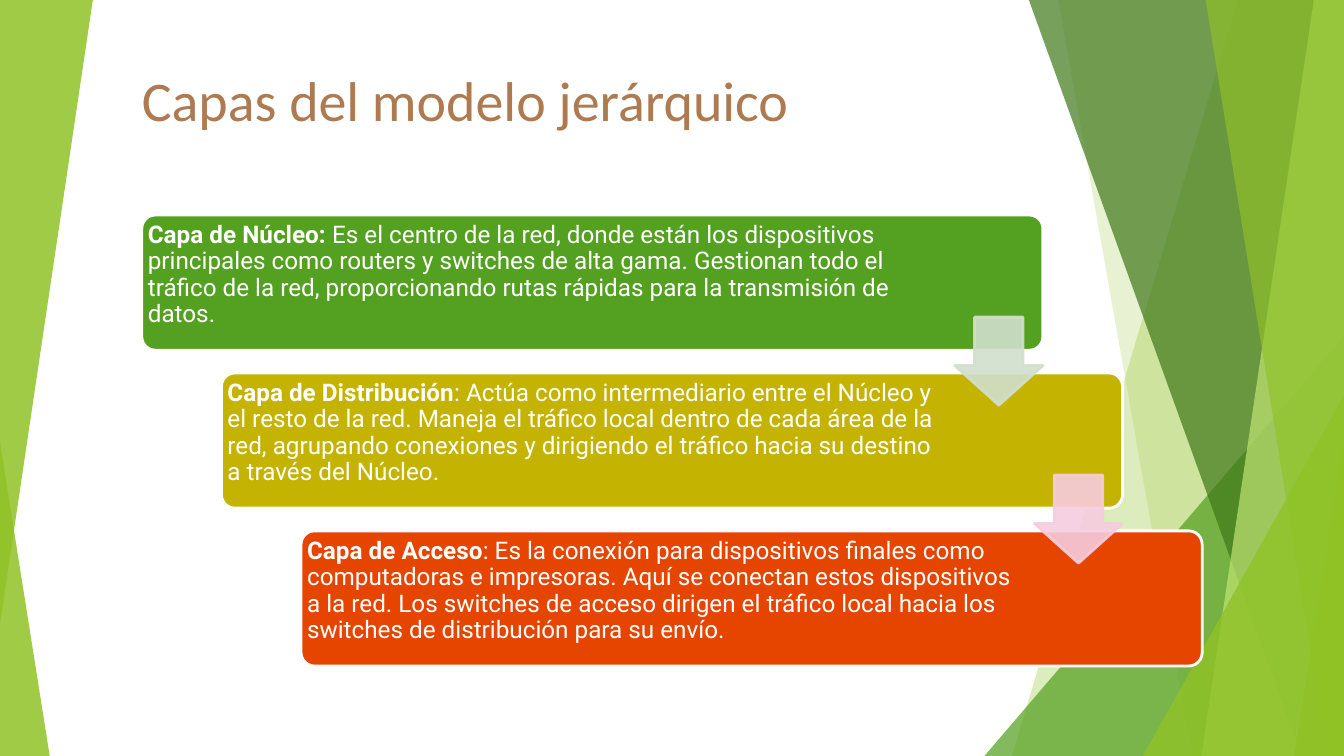
import pptx
import pptx.dml.color
import pptx.enum.shapes
import pptx.enum.text
import pptx.oxml
import pptx.oxml.ns
import pptx.util

Cm = pptx.util.Cm
Pt = pptx.util.Pt
RGBColor = pptx.dml.color.RGBColor
SHAPES = pptx.enum.shapes.MSO_SHAPE

WHITE = RGBColor(0xFF, 0xFF, 0xFF)
BROWN = RGBColor(0xAE, 0x7A, 0x51)
LIME = RGBColor(0x90, 0xC2, 0x26)
PALE_LIME = RGBColor(0xC0, 0xE4, 0x74)
GREEN = RGBColor(0x54, 0xA0, 0x21)
DARK_GREEN = RGBColor(0x3F, 0x78, 0x19)
MUSTARD = RGBColor(0xC4, 0xB3, 0x00)
ORANGE = RGBColor(0xE6, 0x45, 0x00)
PALE_GREEN = RGBColor(0xD1, 0xDF, 0xCC)
PINK = RGBColor(0xF5, 0xCC, 0xDE)

PAGE_WIDTH, PAGE_HEIGHT = 50.8, 28.58

LAYERS = [
    ("Capa de Núcleo:",
     " Es el centro de la red, donde están los dispositivos principales como routers y "
     "switches de alta gama. Gestionan todo el tráfico de la red, proporcionando rutas "
     "rápidas para la transmisión de datos.", GREEN, 5.31),
    ("Capa de Distribución",
     ": Actúa como intermediario entre el Núcleo y el resto de la red. Maneja el tráfico "
     "local dentro de cada área de la red, agrupando conexiones y dirigiendo el tráfico "
     "hacia su destino a través del Núcleo.", MUSTARD, 6.43),
    ("Capa de Acceso",
     ": Es la conexión para dispositivos finales como computadoras e impresoras. Aquí se "
     "conectan estos dispositivos a la red. Los switches de acceso dirigen el tráfico "
     "local hacia los switches de distribución para su envío.", ORANGE, 6.43),
]
ARROW_COLORS = [PALE_GREEN, PINK]


def add_span(para, text, *, font, size, color, bold=False):
    span = para.add_run()
    span.text = text
    span.font.name = font
    span.font.size = Pt(size)
    span.font.color.rgb = color
    span.font.bold = bold


def set_opacity(shape, percent):
    for color in shape._element.spPr.iter(pptx.oxml.ns.qn("a:srgbClr")):
        alpha = pptx.oxml.xmlchemy.OxmlElement("a:alpha")
        alpha.set("val", str(percent * 1000))
        color.append(alpha)


def set_frame(frame, left=0, top=0, right=0):
    frame.word_wrap = True
    frame.vertical_anchor = pptx.enum.text.MSO_ANCHOR.TOP
    frame.margin_left, frame.margin_top = Cm(left), Cm(top)
    frame.margin_right, frame.margin_bottom = Cm(right), 0


def add_facet(page, left, top, points, color, opacity):
    corners = [(Cm(left + x), Cm(top + y)) for x, y in points]
    builder = page.shapes.build_freeform(*corners[0])
    builder.add_line_segments(corners[1:], close=True)
    facet = builder.convert_to_shape()
    facet.shadow.inherit = False
    facet.fill.solid()
    facet.fill.fore_color.rgb = color
    facet.line.fill.background()
    set_opacity(facet, opacity)


def add_hairline(page, left, top, start, end):
    line = page.shapes.add_connector(
        pptx.enum.shapes.MSO_CONNECTOR.STRAIGHT,
        Cm(left + start[0]), Cm(top + start[1]), Cm(left + end[0]), Cm(top + end[1]))
    line.line.color.rgb = WHITE
    line.line.width = Pt(0.75)
    line._element.spPr.append(pptx.oxml.xmlchemy.OxmlElement("a:effectLst"))


def draw_right_facets(page, left, top, width, height):
    add_hairline(page, left, top, (8.1, 0), (13.23, height))
    add_hairline(page, left, top, (width, 15.32), (0, height))
    bottom_right = (width, height)
    facets = [
        ([(15.88, 0), (width, 0), bottom_right, (7.34, height)], LIME, 30),
        ([(9.09, 0), (width, 0), bottom_right, (14.15, height)], LIME, 20),
        ([(6.3, height), (width, 12.7), bottom_right], GREEN, 72),
        ([(7.98, 0), (width, 0), bottom_right, (18.29, height)], DARK_GREEN, 70),
        ([(18.75, 0), (width, 0), bottom_right, (14.5, height)], PALE_LIME, 70),
        ([(14.66, 0), (width, 0), bottom_right, (19.28, height)], LIME, 65),
        ([(12.29, height), (width, 14.96), bottom_right], LIME, 80),
        ([(18.01, height), (width, 16.71), bottom_right], LIME, 85),
    ]
    for points, color, opacity in facets:
        add_facet(page, left, top, points, color, opacity)


def draw_left_facets(page, left, top, width, height):
    add_facet(page, left, top, [(0, height), (0, 16.71), (1.88, height)], LIME, 85)
    add_facet(page, left, top, [(0, 0), (width, 0), (0, 23.6)], LIME, 85)


def draw_title(page, left, top, width, height):
    box = page.shapes.add_textbox(Cm(left), Cm(top), Cm(width), Cm(height))
    set_frame(box.text_frame)
    para = box.text_frame.paragraphs[0]
    para.line_spacing = Pt(72)
    add_span(para, "Capas del modelo jerárquico", font="Calibri", size=60, color=BROWN)


def draw_card(page, left, top, width, height, layer):
    heading, body, color, right_margin = layer
    card = page.shapes.add_shape(
        SHAPES.ROUNDED_RECTANGLE, Cm(left), Cm(top), Cm(width), Cm(height))
    card.adjustments[0] = 0.1
    card.shadow.inherit = False
    card.fill.solid()
    card.fill.fore_color.rgb = color
    card.line.color.rgb = WHITE
    card.line.width = Pt(3)
    set_frame(card.text_frame, left=0.08, top=0.13, right=right_margin)
    para = card.text_frame.paragraphs[0]
    para.alignment = pptx.enum.text.PP_ALIGN.LEFT
    para.line_spacing = Pt(28.1)
    add_span(para, heading, font="Roboto", size=26, color=WHITE, bold=True)
    add_span(para, body, font="Roboto", size=26, color=WHITE)


def draw_arrow(page, left, top, side, color):
    arrow = page.shapes.add_shape(
        SHAPES.DOWN_ARROW, Cm(left), Cm(top), Cm(side), Cm(side))
    arrow.adjustments[0] = 0.55
    arrow.adjustments[1] = 0.45
    arrow.shadow.inherit = False
    arrow.fill.solid()
    arrow.fill.fore_color.rgb = color
    arrow.line.color.rgb = color
    arrow.line.width = Pt(3)
    set_opacity(arrow, 90)


def draw_staircase(page, left, top, width, height):
    step_x, step_y, arrow_side = 3.01, 5.97, 3.33
    card_width = width - step_x * (len(LAYERS) - 1)
    card_height = height - step_y * (len(LAYERS) - 1)
    for index, layer in enumerate(LAYERS):
        draw_card(page, left + index * step_x, top + index * step_y,
                  card_width, card_height, layer)
    for index, color in enumerate(ARROW_COLORS):
        draw_arrow(page, left + index * step_x + card_width - arrow_side,
                   top + index * step_y + 3.86, arrow_side, color)


def main():
    deck = pptx.Presentation()
    deck.slide_width, deck.slide_height = Cm(PAGE_WIDTH), Cm(PAGE_HEIGHT)
    page = deck.slides.add_slide(deck.slide_layouts[6])
    draw_right_facets(page, 30.91, 0, PAGE_WIDTH - 30.91, PAGE_HEIGHT)
    draw_left_facets(page, 0, 0, 3.51, PAGE_HEIGHT)
    draw_title(page, 5.36, 2.49, 42.49, 4.62)
    draw_staircase(page, 5.36, 8.13, 40.08, 17.05)
    deck.save("out.pptx")


if __name__ == "__main__":
    main()
